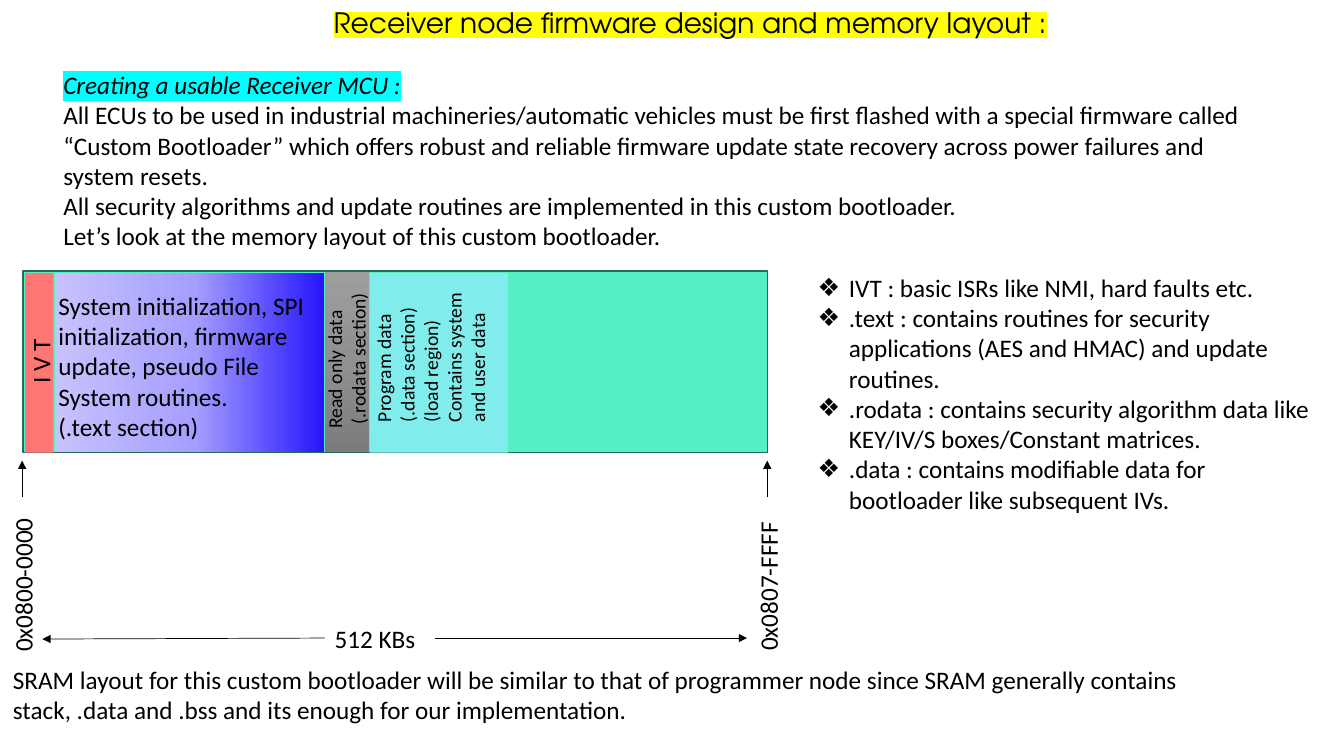
from dataclasses import dataclass

from lxml import etree
from pptx import Presentation
from pptx.dml.color import RGBColor
from pptx.enum.shapes import MSO_CONNECTOR, MSO_SHAPE
from pptx.enum.text import MSO_ANCHOR, MSO_AUTO_SIZE, PP_ALIGN
from pptx.oxml.ns import qn
from pptx.util import Inches, Pt

RECTANGLE = MSO_SHAPE.RECTANGLE
STRAIGHT = MSO_CONNECTOR.STRAIGHT
TOP = MSO_ANCHOR.TOP
FIXED_SIZE = MSO_AUTO_SIZE.NONE
LEFT = PP_ALIGN.LEFT


@dataclass(frozen=True)
class Theme:
    title_font: str = "TeX Gyre Adventor"
    body_font: str = "Calibri"
    title_size: int = 20
    body_size: int = 18
    small_size: int = 14
    ink: str = "000000"
    title_mark: str = "FFFF00"
    heading_mark: str = "00FFFF"
    flash: str = "55EFC4"
    flash_edge: str = "256956"
    vectors: str = "FF7675"
    data: str = "81ECEC"
    code: tuple = ((0, "2615FD"), (48, "A59EFE"), (100, "C7C3FE"))
    constants: tuple = ((0, "9D9D9D"), (50, "909090"), (100, "7C7C7C"))


THEME = Theme()


@dataclass(frozen=True)
class Region:
    """A block of the memory map; fill is a colour or gradient stops."""
    box: tuple
    fill: str | tuple
    edge: str = ""
    rotation: int = 0
    angle: int = 0


@dataclass(frozen=True)
class Label:
    box: tuple
    lines: tuple
    size: int = THEME.body_size
    rotation: int = 0


@dataclass(frozen=True)
class Arrow:
    start: tuple
    end: tuple


REGIONS = (
    Region((0.23, 2.69, 7.38, 1.8), THEME.flash, edge=THEME.flash_edge),
    Region((0.25, 2.71, 0.28, 1.78), THEME.vectors),
    Region((0.99, 2.26, 1.78, 2.67), THEME.code, rotation=270, angle=270),
    Region((3.22, 2.7, 0.44, 1.78), THEME.constants, angle=90),
    Region((3.67, 2.71, 1.37, 1.78), THEME.data),
)

LABELS = (
    Label((0.48, 2.83, 2.82, 1.62), (
        "System initialization, SPI initialization, firmware update, "
        "pseudo File System routines.",
        "(.text section)")),
    Label((2.57, 3.2, 1.73, 0.57), ("Read only data", " (.rodata section)"),
          THEME.small_size, 270),
    Label((3.65, 2.79, 1.48, 1.51), (
        "Program data", "(.data section)", "(load region)",
        "Contains system and user data"), THEME.small_size, 270),
    Label((-0.01, 3.29, 0.82, 0.4), ("I V T",), rotation=270),
    Label((-0.63, 5.51, 1.71, 0.4), ("0x0800-0000",), rotation=270),
    Label((6.76, 5.5, 1.71, 0.4), ("0x0807-FFFF",), rotation=270),
    Label((3.22, 6.13, 1.3, 0.4), ("512 KBs",)),
    Label((0.03, 6.54, 12.93, 0.71), (
        "SRAM layout for this custom bootloader will be similar to that of "
        "programmer node since SRAM generally contains stack, .data and .bss "
        "and its enough for our implementation.",)),
)

ARROWS = (
    Arrow((0.22, 4.93), (0.22, 4.57)),
    Arrow((7.61, 4.93), (7.61, 4.57)),
    Arrow((4.31, 6.33), (7.41, 6.33)),
    Arrow((3.22, 6.33), (0.42, 6.34)),
)

INTRO = Label((0.53, 0.64, 12.28, 1.92), (
    "Creating a usable Receiver MCU :",
    "All ECUs to be used in industrial machineries/automatic vehicles must be "
    "first flashed with a special firmware called “Custom Bootloader” which "
    "offers robust and reliable firmware update state recovery across power "
    "failures and system resets.",
    "All security algorithms and update routines are implemented in this "
    "custom bootloader.",
    "Let’s look at the memory layout of this custom bootloader."))

SECTIONS = Label((8.01, 2.65, 5.14, 2.52), (
    "IVT : basic ISRs like NMI, hard faults etc.",
    ".text : contains routines for security applications (AES and HMAC) and "
    "update routines.",
    ".rodata : contains security algorithm data like KEY/IV/S boxes/Constant "
    "matrices.",
    ".data : contains modifiable data for bootloader like subsequent IVs."))

TITLE = Label((3.21, 0, 7.72, 0.44),
              ("Receiver node firmware design and memory layout :",),
              THEME.title_size)


def add_bullet(paragraph) -> None:
    properties = paragraph._p.get_or_add_pPr()
    hang = Inches(0.31)
    properties.set("marL", str(hang))
    properties.set("indent", str(-hang))
    etree.SubElement(properties, qn("a:buChar")).set("char", "❖")


def write(shape, label: Label, font: str = THEME.body_font,
          bulleted: bool = False) -> None:
    """Place a text shape and fill it with one paragraph per line."""
    placement = dict(zip(("left", "top", "width", "height"),
                         map(Inches, label.box)))
    for name, value in placement.items():
        setattr(shape, name, value)
    if label.rotation:
        shape.rotation = label.rotation
    frame = shape.text_frame
    frame_format = dict(word_wrap=True, auto_size=FIXED_SIZE,
                        vertical_anchor=TOP)
    for name, value in frame_format.items():
        setattr(frame, name, value)
    for index, line in enumerate(label.lines):
        paragraph = frame.add_paragraph() if index else frame.paragraphs[0]
        if bulleted:
            add_bullet(paragraph)
        spacing = dict(alignment=LEFT, space_before=Pt(0), line_spacing=1.0)
        for name, value in spacing.items():
            setattr(paragraph, name, value)
        run = paragraph.add_run()
        run.text = line
        for name, value in dict(name=font, size=Pt(label.size)).items():
            setattr(run.font, name, value)
        run.font.color.rgb = RGBColor.from_string(THEME.ink)


def highlight(run, color: str) -> None:
    mark = etree.Element(qn("a:highlight"))
    etree.SubElement(mark, qn("a:srgbClr")).set("val", color)
    run._r.rPr.find(qn("a:latin")).addprevious(mark)


def fill_gradient(shape, stops: tuple, angle: int) -> None:
    shape.fill.gradient()
    gradient = shape._element.spPr.find(qn("a:gradFill"))
    for child in list(gradient):
        gradient.remove(child)
    stop_list = etree.SubElement(gradient, qn("a:gsLst"))
    for position, color in stops:
        stop = etree.SubElement(stop_list, qn("a:gs"))
        stop.set("pos", str(position * 1000))
        etree.SubElement(stop, qn("a:srgbClr")).set("val", color)
    etree.SubElement(gradient, qn("a:lin")).set("ang", str(angle * 60000))


def draw_region(slide, region: Region) -> None:
    block = slide.shapes.add_shape(RECTANGLE, *map(Inches, region.box))
    block.shadow.inherit = False
    block.rotation = region.rotation
    if isinstance(region.fill, str):
        block.fill.solid()
        block.fill.fore_color.rgb = RGBColor.from_string(region.fill)
    else:
        fill_gradient(block, region.fill, region.angle)
    if region.edge:
        block.line.color.rgb = RGBColor.from_string(region.edge)
        block.line.width = Pt(1)
    else:
        block.line.fill.background()


def draw_arrow(slide, arrow: Arrow) -> None:
    connector = slide.shapes.add_connector(
        STRAIGHT, *map(Inches, arrow.start + arrow.end))
    connector.line.color.rgb = RGBColor.from_string(THEME.ink)
    connector.line.width = Pt(0.5)
    line = connector.line._get_or_add_ln()
    etree.SubElement(line, qn("a:tailEnd")).set("type", "triangle")
    etree.SubElement(connector._element.spPr, qn("a:effectLst"))


def add_label(slide, label: Label):
    box = slide.shapes.add_textbox(*map(Inches, label.box))
    write(box, label)
    return box


def main() -> None:
    deck = Presentation()
    deck.slide_width, deck.slide_height = Inches(13.33), Inches(7.5)
    slide = deck.slides.add_slide(deck.slide_layouts[1])

    # Title and section list
    title, sections = slide.placeholders
    write(title, TITLE, THEME.title_font)
    highlight(title.text_frame.paragraphs[0].runs[0], THEME.title_mark)
    write(sections, SECTIONS, bulleted=True)

    # Introduction
    intro = add_label(slide, INTRO)
    heading = intro.text_frame.paragraphs[0].runs[0]
    heading.font.italic = True
    highlight(heading, THEME.heading_mark)

    # Memory map
    for region in REGIONS:
        draw_region(slide, region)
    for label in LABELS:
        add_label(slide, label)
    for arrow in ARROWS:
        draw_arrow(slide, arrow)

    deck.save("out.pptx")


if __name__ == "__main__":
    main()
